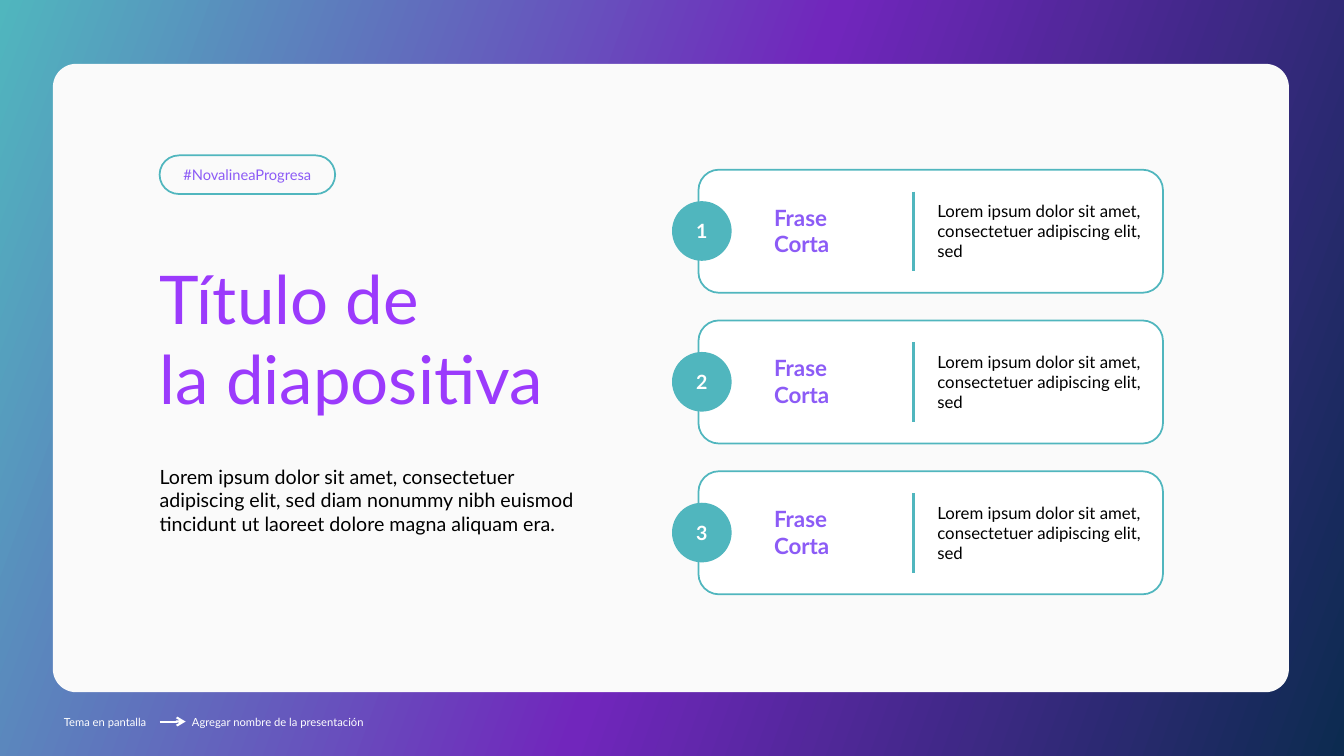
from copy import deepcopy
from dataclasses import dataclass
from pptx import Presentation
from pptx.dml.color import RGBColor
from pptx.enum.shapes import MSO_CONNECTOR, MSO_SHAPE
from pptx.enum.text import MSO_ANCHOR, PP_ALIGN
from pptx.oxml.ns import qn
from pptx.oxml.xmlchemy import OxmlElement
from pptx.shapes.autoshape import Shape
from pptx.shapes.connector import Connector
from pptx.text.text import TextFrame
from pptx.util import Inches, Pt

COLS, ROWS = 160, 90
WIDE, HIGH = Inches(13.333), Inches(7.5)
TEAL, LILAC, WHITE, BLACK = "50B6BE", "8C5BF6", "FFFFFF", "000000"
LEFT = 19
STEP = 17.95


@dataclass
class Box:
    col: float
    row: float
    cols: float
    rows: float

    def place(self) -> tuple[int, int, int, int]:
        return (across(self.col), down(self.row),
                across(self.cols), down(self.rows))


@dataclass
class Card:
    mark: str
    head: str
    body: str


def across(cols: float) -> int:
    return round(WIDE * cols / COLS)


def down(rows: float) -> int:
    return round(HIGH * rows / ROWS)


def tint(code: str) -> RGBColor:
    return RGBColor.from_string(code)


def write(frame: TextFrame, words: str, *, size: float, color: str,
          bold: bool = False, align: PP_ALIGN = PP_ALIGN.LEFT,
          anchor: MSO_ANCHOR = MSO_ANCHOR.TOP, wrap: bool = True) -> None:
    frame.margin_left = frame.margin_right = 0
    frame.margin_top = frame.margin_bottom = 0
    frame.word_wrap = wrap
    frame.vertical_anchor = anchor
    para = frame.paragraphs[0]
    para.text = words
    para.alignment = align
    para.line_spacing = 1.0
    for run in para.runs:
        run.font.name = "Lato"
        run.font.size = Pt(size)
        run.font.bold = bold
        run.font.color.rgb = tint(color)


def label(box: Box, words: str, **style) -> None:
    write(slide.shapes.add_textbox(*box.place()).text_frame, words, **style)


def draw(kind: MSO_SHAPE, box: Box, fill: str = "", line: str = "",
         curve: float | None = None) -> Shape:
    shape = slide.shapes.add_shape(kind, *box.place())
    shape.shadow.inherit = False
    if fill:
        shape.fill.solid()
        shape.fill.fore_color.rgb = tint(fill)
    else:
        shape.fill.background()
    if line:
        shape.line.color.rgb = tint(line)
        shape.line.width = Pt(1.25)
    else:
        shape.line.fill.background()
    if curve is not None:
        shape.adjustments[0] = curve
    return shape


def rule(box: Box, color: str, width: float) -> Connector:
    left, top, wide, high = box.place()
    line = slide.shapes.add_connector(
        MSO_CONNECTOR.STRAIGHT, left, top, left + wide, top + high)
    line.line.color.rgb = tint(color)
    line.line.width = Pt(width)
    line.element.spPr.append(OxmlElement("a:effectLst"))
    return line


def shade(stops: list[tuple[float, str]], angle: float) -> None:
    fill = slide.background.fill
    fill.gradient()
    fill.gradient_angle = angle
    group = slide.element.find(".//" + qn("a:gsLst"))
    group.append(deepcopy(group[0]))
    for stop, (share, color) in zip(fill.gradient_stops, stops):
        stop.position = share
        stop.color.rgb = tint(color)


def panel(card: Card, top: float) -> None:
    draw(MSO_SHAPE.ROUNDED_RECTANGLE, Box(83.15, top, 55.3, 14.65), WHITE, TEAL)
    disc = draw(MSO_SHAPE.OVAL, Box(80, top + 3.75, 7.1, 7.1), TEAL)
    write(disc.text_frame, card.mark, size=14, color=WHITE, bold=True,
          align=PP_ALIGN.CENTER, anchor=MSO_ANCHOR.MIDDLE)
    label(Box(111.6, top + 3.7, 24.5, 7.3), card.body, size=12, color=BLACK)
    rule(Box(108.75, top + 2.6, 0, 9.5), TEAL, 2)
    label(Box(92.15, top + 4.05, 12.35, 6.5), card.head,
          size=16, color=LILAC, bold=True)


deck = Presentation()
deck.slide_width, deck.slide_height = WIDE, HIGH
slide = deck.slides.add_slide(deck.slide_layouts[5])
shade([(0, TEAL), (0.52, "7126BC"), (1, "0C2B50")], 340)

title = slide.shapes.title
title.left, title.top, title.width, title.height = Box(LEFT, 30.6, 54.4, 19.4).place()
write(title.text_frame, "Título de\vla diapositiva", size=48, color="9B3AFC")
sheet = draw(MSO_SHAPE.ROUNDED_RECTANGLE, Box(6.3, 7.6, 147.15, 74.8),
             "FAFAFA", curve=0.037)
title.element.addprevious(sheet.element)

for col, cols, words in ((7.6, 10, "Tema en pantalla"),
                         (22.85, 21, "Agregar nombre de la presentación")):
    label(Box(col, 84.5, cols, 2.9), words, size=8, color=WHITE,
          anchor=MSO_ANCHOR.MIDDLE, wrap=False)
arrow = rule(Box(LEFT, 85.9, 3.1, 0), WHITE, 1.5)
tip = OxmlElement("a:tailEnd")
tip.set("type", "arrow")
arrow.element.spPr.find(qn("a:ln")).append(tip)

label(Box(LEFT, 55.3, 49.6, 11.3),
      "Lorem ipsum dolor sit amet, consectetuer adipiscing elit, sed diam "
      "nonummy nibh euismod tincidunt ut laoreet dolore magna aliquam era.",
      size=14, color=BLACK)
pill = draw(MSO_SHAPE.ROUNDED_RECTANGLE, Box(LEFT, 18.5, 20.9, 4.6),
            line=TEAL, curve=0.5)
write(pill.text_frame, "#NovalineaProgresa", size=10.5, color=LILAC,
      align=PP_ALIGN.CENTER, anchor=MSO_ANCHOR.MIDDLE)

for spot in range(3):
    panel(Card(str(spot + 1), "Frase Corta",
               "Lorem ipsum dolor sit amet, consectetuer adipiscing elit, sed"),
          20.2 + spot * STEP)

deck.save("out.pptx")
